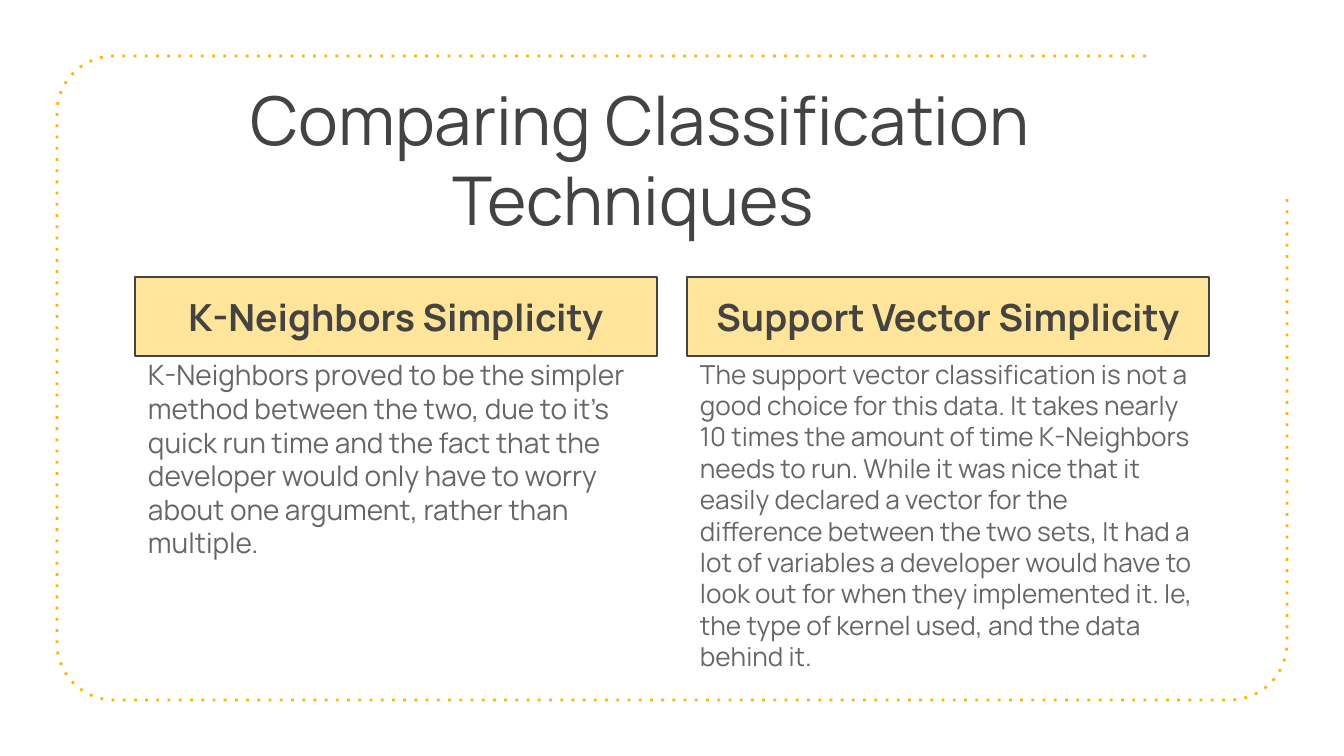
"""Build the slide that compares two classification techniques."""
from dataclasses import dataclass
from math import cos, radians, sin

from pptx import Presentation
from pptx.dml.color import RGBColor
from pptx.enum.dml import MSO_LINE
from pptx.enum.shapes import MSO_SHAPE
from pptx.enum.text import MSO_ANCHOR, MSO_AUTO_SIZE, PP_ALIGN
from pptx.oxml.ns import qn
from pptx.util import Emu, Pt


@dataclass(frozen=True)
class Theme:
    font: str = "Manrope"
    dark: str = "434343"
    gray: str = "666666"
    amber: str = "FFB600"
    cream: str = "FFE599"
    title_size: int = 36
    banner_size: int = 20


theme = Theme()
SCALE = 914400 / 134.4


def px(length):
    return Emu(round(length * SCALE))


def write(shape, text, *, size, color, align, anchor, bold=False, before=0):
    frame = shape.text_frame
    frame.word_wrap = True
    frame.auto_size = MSO_AUTO_SIZE.NONE
    frame.vertical_anchor = anchor
    frame.margin_left = frame.margin_right = px(13)
    frame.margin_top = frame.margin_bottom = px(13)
    para = frame.paragraphs[0]
    para.alignment = align
    para.space_before = Pt(before)
    span = para.add_run()
    span.text = text
    span.font.name = theme.font
    span.font.size = Pt(size)
    span.font.bold = bold
    span.font.color.rgb = RGBColor.from_string(color)
    return para


deck = Presentation()
deck.slide_width, deck.slide_height = px(1344), px(756)
page = deck.slides.add_slide(deck.slide_layouts.get_by_name("Two Content"))
page.background.fill.solid()
page.background.fill.fore_color.rgb = RGBColor(255, 255, 255)
title, *bodies = [box for box in page.placeholders if box.placeholder_format.idx < 3]
for box in list(page.placeholders):
    if box.placeholder_format.idx >= 3:
        box.element.getparent().remove(box.element)

left, top, right, bottom, radius = 57, 56, 1287, 700, 57
corners = [
    (left + radius, top + radius, 270),
    (left + radius, bottom - radius, 180),
    (right - radius, bottom - radius, 90),
]
points = []
for center_x, center_y, start in corners:
    for step in range(17):
        angle = radians(start - 90 * step / 16)
        points.append((px(center_x + radius * cos(angle)), px(center_y + radius * sin(angle))))
points.append((px(right), px(196)))
builder = page.shapes.build_freeform(px(1146), px(top))
builder.add_line_segments(points, close=False)
border = builder.convert_to_shape()
border.shadow.inherit = False
border.fill.background()
border.line.color.rgb = RGBColor.from_string(theme.amber)
border.line.width = Pt(1.5)
border.line.dash_style = MSO_LINE.ROUND_DOT
border.element.spPr.find(qn("a:ln")).find(qn("a:prstDash")).set("val", "dot")
title.element.addprevious(border.element)

title.left, title.top, title.width, title.height = px(135), px(65), px(1010), px(126)
write(title, "Comparing Classification Techniques ", size=theme.title_size,
      color=theme.dark, align=PP_ALIGN.CENTER, anchor=MSO_ANCHOR.TOP)

columns = [
    ("K-Neighbors Simplicity", 15, 337,
     "K-Neighbors proved to be the simpler method between the two, due to it’s quick run time "
     "and the fact that the developer would only have to worry about one argument, rather than "
     "multiple."),
    ("Support Vector Simplicity", 14, 331,
     "The support vector classification is not a good choice for this data. It takes nearly 10 "
     "times the amount of time K-Neighbors needs to run. While it was nice that it easily "
     "declared a vector for the difference between the two sets, It had a lot of variables a "
     "developer would have to look out for when they implemented it. Ie, the type of kernel "
     "used, and the data behind it."),
]
for index, (heading, size, height, text) in enumerate(columns):
    column_left, column_width = px(135 + 552 * index), px(522)
    body = bodies[index]
    body.left, body.top, body.width, body.height = column_left, px(345), column_width, px(height)
    para = write(body, text, size=size, color=theme.gray, align=PP_ALIGN.LEFT,
                 anchor=MSO_ANCHOR.TOP, before=6)
    properties = para._p.get_or_add_pPr()
    properties.set("marL", "0")
    properties.set("indent", "0")
    properties.append(properties.makeelement(qn("a:buNone"), {}))

    banner = page.shapes.add_shape(MSO_SHAPE.RECTANGLE, column_left, px(277), column_width, px(79))
    banner.shadow.inherit = False
    banner.fill.solid()
    banner.fill.fore_color.rgb = RGBColor.from_string(theme.cream)
    banner.line.color.rgb = RGBColor.from_string(theme.dark)
    banner.line.width = Pt(0.75)
    write(banner, heading, size=theme.banner_size, color=theme.dark, align=PP_ALIGN.CENTER,
          anchor=MSO_ANCHOR.MIDDLE, bold=True)

deck.save("out.pptx")
